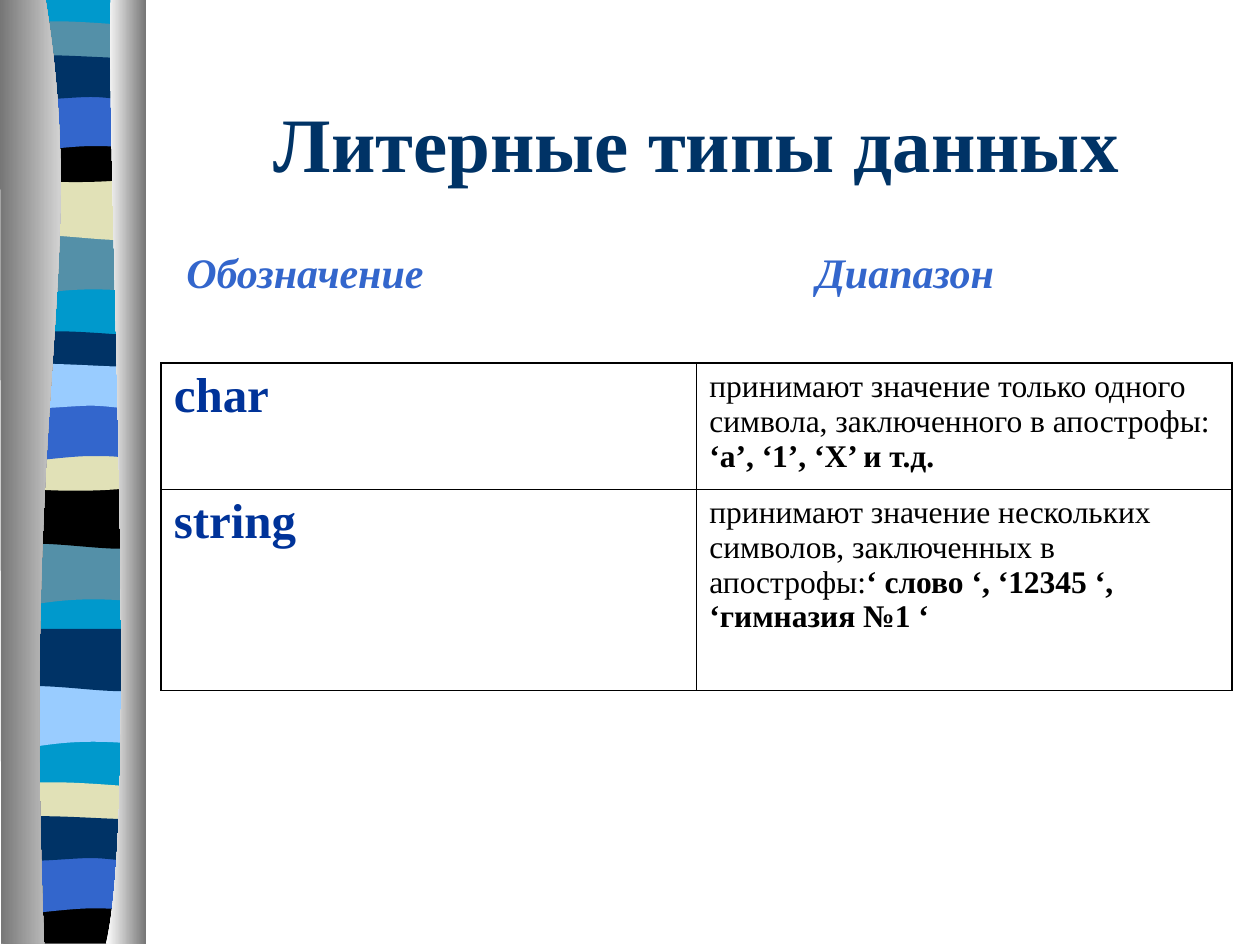
from lxml import etree
from pptx import Presentation
from pptx.dml.color import RGBColor
from pptx.enum.text import MSO_ANCHOR, PP_ALIGN
from pptx.oxml.ns import qn
from pptx.util import Inches, Pt

MIDDLE = MSO_ANCHOR.MIDDLE
LEFT_AL = PP_ALIGN.LEFT
CENTER = PP_ALIGN.CENTER

FONT = "Times New Roman"
HUES = {
    "sky": "0099CC", "teal": "5490A8", "sand": "E1E1B7", "black": "000000",
    "blue": "3366CC", "navy": "003366", "pale": "99CCFF", "ink": "003399",
    "gray": "767676", "white": "FFFFFF",
}
SLIDE_W, SLIDE_H = 10, 7.5
LEFT, WIDE = 1.28, 8.5
ROWS = (1, 1.6)

BANDS = {
    "wedge": [(1.14, 0), (1.14, 0.47), (0.39, 0.39, 0.24, 0.55, 0.06, 0.47), (0.06, 0)],
    "swell": [(1.14, 0), (1.14, 0.47), (0.96, 0.55, 0.39, 0.41, 0.06, 0.47), (0.06, 0)],
    "arch": [(1.14, 0), (1.14, 0.24), (0.96, 0.28, 0.24, 0.28, 0.06, 0.24), (0.06, 0),
             (0.12, -0.05, 0.29, -0.04, 0.47, -0.04), (0.65, -0.04, 1, -0.01, 1.14, 0)],
    "bowl": [(1.14, 0), (1.14, 0.32), (0.96, 0.38, 0.24, 0.38, 0.06, 0.32), (0.06, 0),
             (0.72, 0.05, 0.91, 0, 1.14, 0)],
    "foot": [(1.14, 0), (1.14, 0.37), (0.06, 0.37), (0.06, 0),
             (0.72, 0.05, 0.91, 0, 1.14, 0)],
    "hill": [(1.14, 0), (1.14, 0.47), (0.97, 0.42, 0.9, 0.42, 0.72, 0.42),
             (0.54, 0.42, 0.22, 0.47, 0.06, 0.47), (0.06, 0)],
    "wave": [(1.14, 0), (1.14, 0.31), (1.07, 0.36, 0.9, 0.31, 0.72, 0.31),
             (0.54, 0.31, 0.17, 0.36, 0.06, 0.31), (0.06, 0),
             (0.21, -0.05, 0.79, 0, 0.97, 0), (1.15, 0, 1.1, 0, 1.14, 0)],
}
STACK = [
    ("wedge", 1.85, "teal"), ("swell", 1.41, "sand"), ("arch", 0.21, "teal"),
    ("bowl", 1.08, "black"), ("hill", 0.74, "blue"), ("wave", 0.46, "navy"),
    ("wedge", 4.31, "teal"), ("swell", 3.86, "black"), ("arch", 2.67, "navy"),
    ("bowl", 3.53, "sand"), ("hill", 3.2, "blue"), ("wave", 2.91, "pale"),
    ("wedge", 5.44, "pale"), ("swell", 4.99, "navy"), ("arch", 6.25, "sand"),
    ("foot", 7.12, "black"), ("hill", 6.79, "blue"), ("wave", 6.5, "navy"),
]
BASE = [(1.14, -0.01), (1.14, 7.47), (0.06, 7.47), (0.06, -0.01)]
NEAR = [(0.36, -0.01), (0.71, 2.16, 0.17, 2.96, 0.35, 7.49), (0.01, 7.49), (0, -0.01)]
FAR = [(0.88, -0.01), (0.84, 1.25, 1.11, 6.46, 0.84, 7.49), (1.16, 7.49), (1.16, 0)]

CELLS = [
    ("char", "принимают значение только одного символа, заключенного в апострофы: ",
     "‘a’, ‘1’, ‘X’ и т.д."),
    ("string", "принимают значение нескольких символов, заключенных в апострофы:",
     "‘ слово ‘, ‘12345 ‘, ‘гимназия №1 ‘"),
]


def rgb(hue):
    return RGBColor.from_string(HUES[hue])


def write(frame, *runs, size, hue, bold=True, italic=False, align=LEFT_AL, tab=None):
    para = frame.paragraphs[0]
    para.alignment = align
    if tab:
        stops = etree.SubElement(para._p.get_or_add_pPr(), qn("a:tabLst"))
        etree.SubElement(stops, qn("a:tab"), pos=str(Inches(tab)), algn="l")
    for item in runs:
        text, heavy = item if isinstance(item, tuple) else (item, bold)
        run = para.add_run()
        run.text = text
        font = run.font
        font.name, font.size = FONT, Pt(size)
        font.bold, font.italic = heavy, italic
        font.color.rgb = rgb(hue)


def bend(shape, outline):
    lines = iter(list(shape._element.iter(qn("a:lnTo"))))
    for part in outline[1:]:
        first = next(lines)
        if len(part) == 6:
            first.tag = qn("a:cubicBezTo")
            for line in (next(lines), next(lines)):
                first.append(line[0])
                line.getparent().remove(line)


def draw(shapes, outline, *hues, top=0):
    spots = [(Inches(part[i]), Inches(part[i + 1] + top))
             for part in outline for i in range(0, len(part), 2)]
    pen = shapes.build_freeform(*spots[0])
    pen.add_line_segments(spots[1:], close=False)
    shape = pen.convert_to_shape()
    lines = list(shape._element.iter(qn("a:lnTo")))
    etree.SubElement(lines[-1].getparent(), qn("a:close"))
    bend(shape, outline)
    shape.shadow.inherit = False
    shape.line.fill.background()
    if len(hues) == 1:
        shape.fill.solid()
        shape.fill.fore_color.rgb = rgb(hues[0])
    else:
        shape.fill.gradient()
        shape.fill.gradient_angle = 0
        for stop, hue in zip(shape.fill.gradient_stops, hues):
            stop.color.rgb = rgb(hue)


def ribbon(slide):
    shapes = slide.shapes.add_group_shape().shapes
    draw(shapes, BASE, "sky")
    for band, top, hue in STACK:
        draw(shapes, BANDS[band], hue, top=top)
    draw(shapes, NEAR, "gray", "white")
    draw(shapes, FAR, "white", "gray")


def title(slide, text):
    box = slide.shapes.title
    box.left, box.top = Inches(LEFT), Inches(0.5)
    box.width, box.height = Inches(WIDE), Inches(1.25)
    box.text_frame.vertical_anchor = MIDDLE
    write(box.text_frame, text, size=44, hue="navy", align=CENTER)


def heads(slide, text):
    box = slide.shapes.add_textbox(Inches(1.38), Inches(1.91), Inches(8.19), Inches(0.5))
    box.text_frame.word_wrap = True
    write(box.text_frame, text, size=24, hue="blue", italic=True, tab=5)


def edge(cell, **widths):
    props = cell._tc.get_or_add_tcPr()
    for spot, (side, width) in enumerate(widths.items()):
        line = etree.Element(qn(f"a:ln{side}"), w=str(Pt(width)))
        fill = etree.SubElement(line, qn("a:solidFill"))
        etree.SubElement(fill, qn("a:srgbClr"), val=HUES["black"])
        props.insert(spot, line)


def grid(slide):
    table = slide.shapes.add_table(len(CELLS), 2, Inches(LEFT), Inches(2.88),
                                   Inches(WIDE), Inches(sum(ROWS))).table
    table.first_row = table.horz_banding = False
    outer, inner = 1.08, 0.45
    for r, (name, plain, strong) in enumerate(CELLS):
        table.rows[r].height = Inches(ROWS[r])
        write(table.cell(r, 0).text_frame, name, size=28, hue="ink")
        write(table.cell(r, 1).text_frame, (plain, False), (strong, True),
              size=18, hue="black")
        for c in (0, 1):
            cell = table.cell(r, c)
            cell.fill.background()
            edge(cell, L=inner if c else outer, R=outer if c else inner,
                 T=inner if r else outer, B=outer if r else inner)


def main():
    deck = Presentation()
    deck.slide_width, deck.slide_height = Inches(SLIDE_W), Inches(SLIDE_H)
    slide = deck.slides.add_slide(deck.slide_layouts[5])
    ribbon(slide)
    title(slide, "Литерные типы данных")
    grid(slide)
    heads(slide, "Обозначение\tДиапазон")
    deck.save("out.pptx")


if __name__ == "__main__":
    main()
